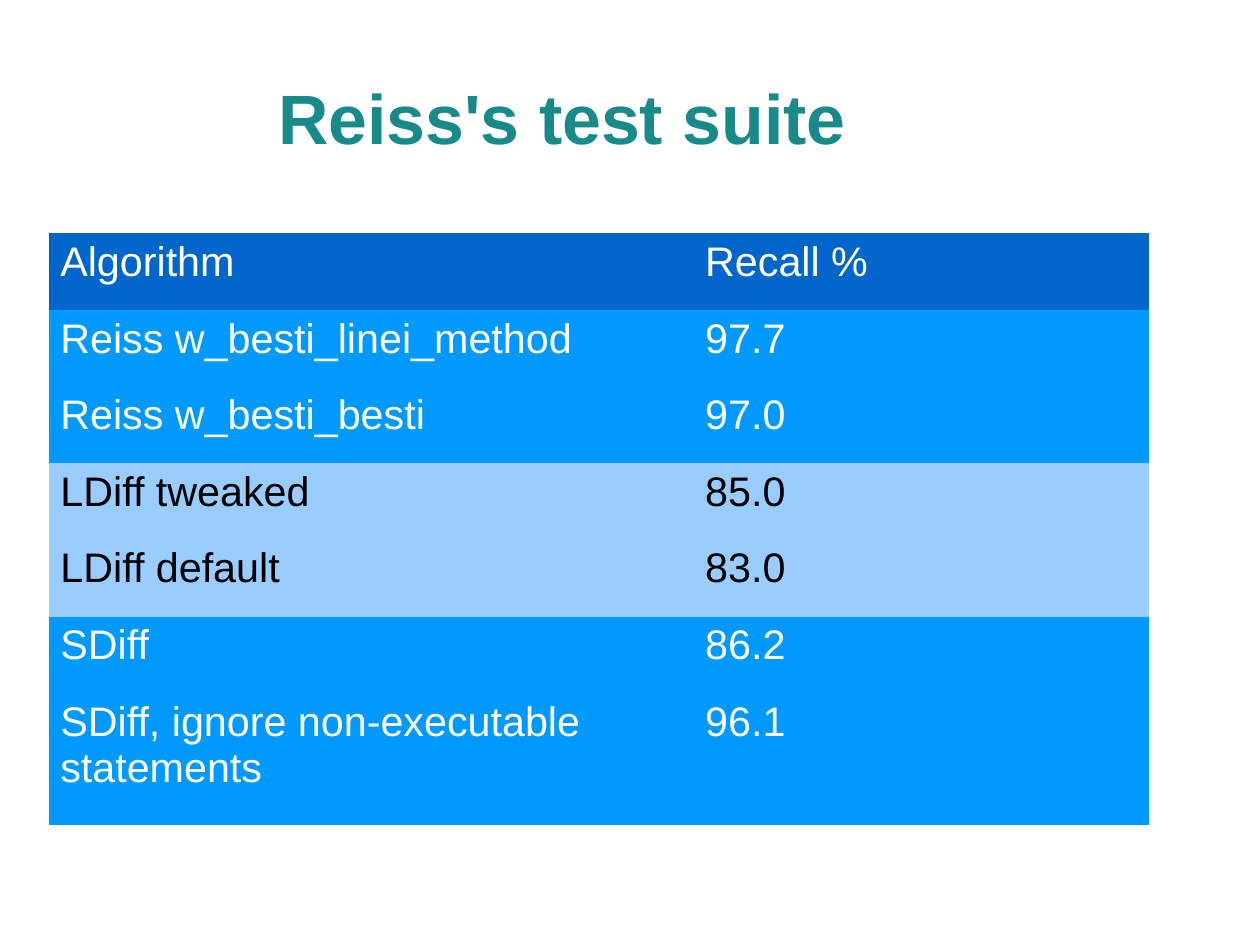
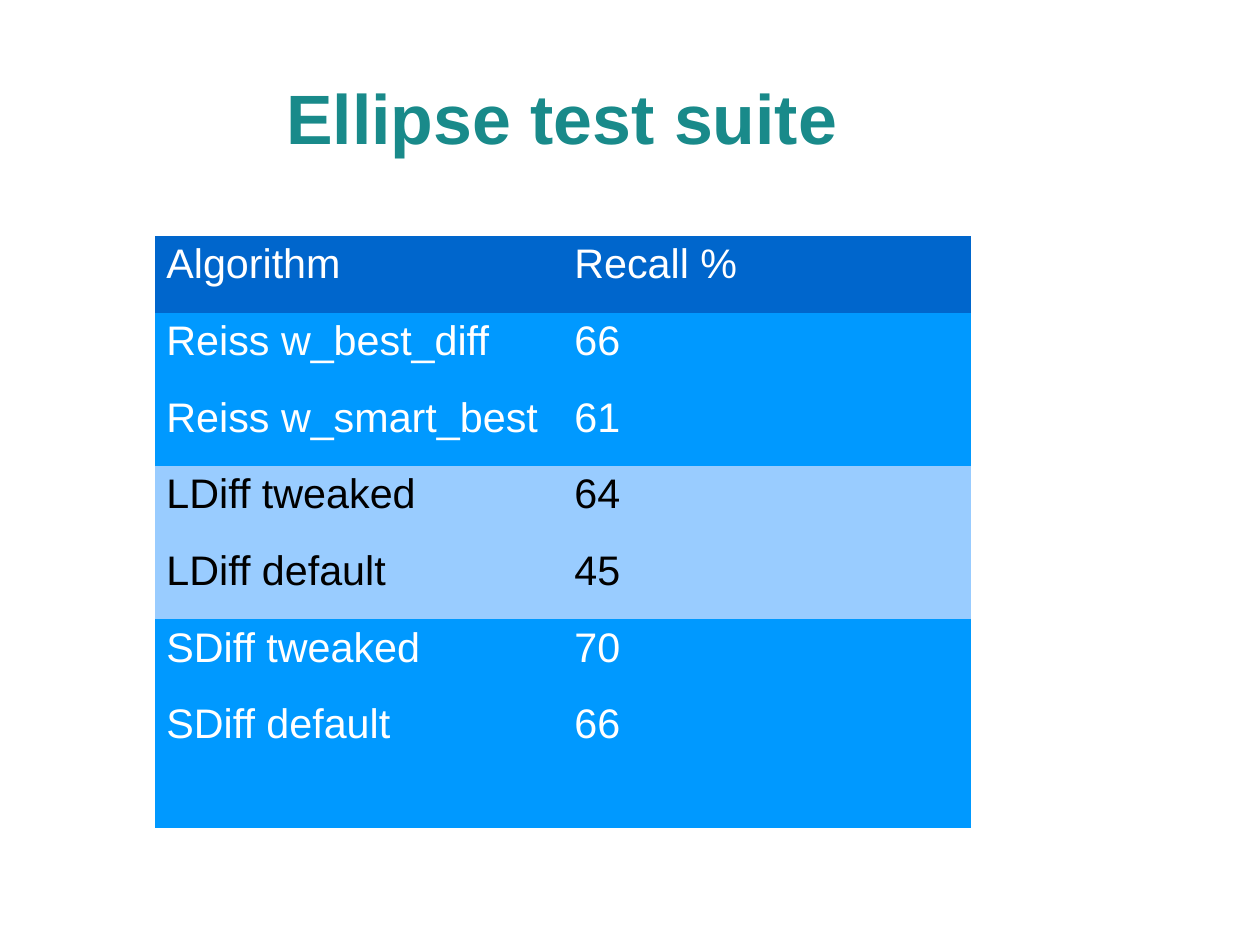
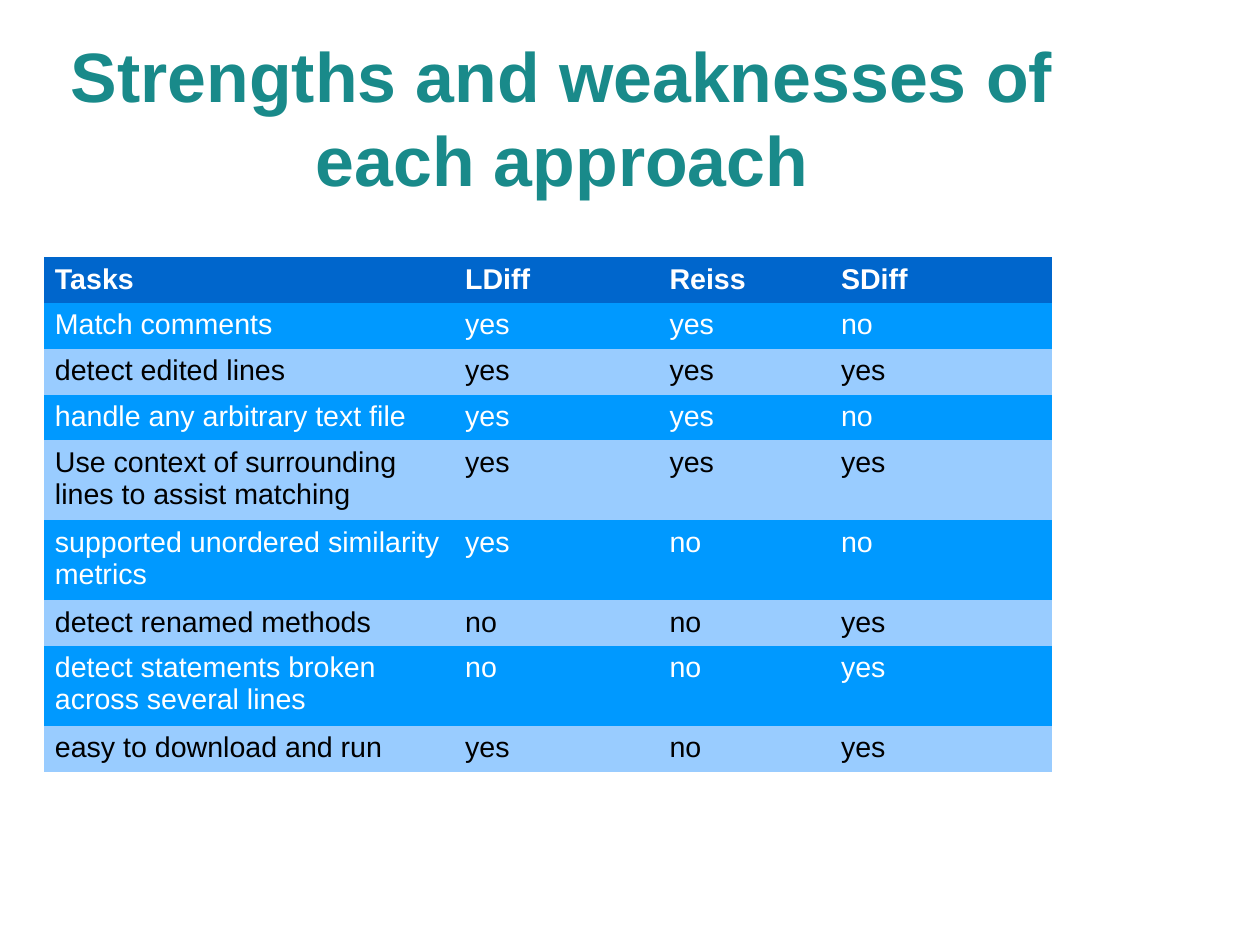
from pptx import Presentation
from pptx import oxml
from pptx.dml import color
from pptx.enum import text
from pptx.oxml import ns
from pptx.util import Pt

FONT = "Arial"
TEAL = "198A8A"
WHITE = "FFFFFF"
BLACK = "000000"
HEADER = ("0066CC", WHITE)
STRONG = ("0099FF", WHITE)
PALE = ("99CCFF", BLACK)

TITLE_BOX = (28, 24, 652.4, 99)
TALL_TITLE_BOX = (28, 13.5, 652.4, 120)
SUITE_STYLES = [HEADER] + [STRONG] * 2 + [PALE] * 2 + [STRONG] * 2
SUITE_HEIGHTS = [48.3] * 6 + [83.3]
TASK_STYLES = [HEADER] + [STRONG, PALE] * 4
ONE_LINE, TWO_LINES = 28.8, 50.4
TASK_HEIGHTS = [ONE_LINE] * 4 + [TWO_LINES] * 2 + [ONE_LINE, TWO_LINES, ONE_LINE]

REISS_ROWS = [
    ("Algorithm", "Recall %"),
    ("Reiss w_besti_linei_method", "97.7"),
    ("Reiss w_besti_besti", "97.0"),
    ("LDiff tweaked", "85.0"),
    ("LDiff default", "83.0"),
    ("SDiff", "86.2"),
    ("SDiff, ignore non-executable statements", "96.1"),
]
ELLIPSE_ROWS = [
    ("Algorithm", "Recall %"),
    ("Reiss w_best_diff", "66"),
    ("Reiss w_smart_best", "61"),
    ("LDiff tweaked", "64"),
    ("LDiff default", "45"),
    ("SDiff tweaked", "70"),
    ("SDiff default", "66"),
]
TASK_ROWS = [
    ("Tasks", "LDiff", "Reiss", "SDiff"),
    ("Match comments", "yes", "yes", "no"),
    ("detect edited lines", "yes", "yes", "yes"),
    ("handle any arbitrary text file", "yes", "yes", "no"),
    ("Use context of surrounding lines to assist matching", "yes", "yes", "yes"),
    ("supported unordered similarity metrics", "yes", "no", "no"),
    ("detect renamed methods", "no", "no", "yes"),
    ("detect statements broken across several lines", "no", "no", "yes"),
    ("easy to download and run", "yes", "no", "yes"),
]


def paint(target, hex_color):
    target.rgb = color.RGBColor.from_string(hex_color)


def add_span(para, words, size, hex_color, bold=False):
    span = para.add_run()
    span.text = words
    span.font.name = FONT
    span.font.size = Pt(size)
    span.font.bold = bold
    paint(span.font.color, hex_color)


def clear_borders(cell):
    properties = cell._tc.get_or_add_tcPr()
    for position, side in enumerate("LRTB"):
        border = oxml.parse_xml(
            f'<a:ln{side} {ns.nsdecls("a")} w="0"><a:noFill/></a:ln{side}>'
        )
        properties.insert(position, border)


def place_title(page, box, words):
    title = page.shapes.title
    title.left, title.top, title.width, title.height = map(Pt, box)
    frame = title.text_frame
    frame.margin_left = frame.margin_right = 0
    frame.margin_top = frame.margin_bottom = 0
    frame.word_wrap = True
    frame.auto_size = text.MSO_AUTO_SIZE.NONE
    frame.vertical_anchor = text.MSO_ANCHOR.MIDDLE
    para = frame.paragraphs[0]
    para.alignment = text.PP_ALIGN.CENTER
    add_span(para, words, 44, TEAL, bold=True)


def place_table(page, corner, widths, heights, rows, styles, size, bold_header=False):
    left, top = corner
    table = page.shapes.add_table(
        len(rows), len(widths), Pt(left), Pt(top), Pt(sum(widths)), Pt(sum(heights))
    ).table
    table.first_row = table.horz_banding = False
    for column, width in zip(table.columns, widths):
        column.width = Pt(width)
    for index, (row, height, words, style) in enumerate(
        zip(table.rows, heights, rows, styles)
    ):
        row.height = Pt(height)
        fill_color, text_color = style
        for cell, word in zip(row.cells, words):
            cell.fill.solid()
            paint(cell.fill.fore_color, fill_color)
            clear_borders(cell)
            cell.margin_left = cell.margin_right = Pt(7.2)
            cell.margin_top = cell.margin_bottom = Pt(3.6)
            para = cell.text_frame.paragraphs[0]
            add_span(para, word, size, text_color, bold_header and index == 0)


def add_page(deck):
    return deck.slides.add_slide(deck.slide_layouts.get_by_name("Title Only"))


def add_suite_page(deck, title, corner, widths, rows):
    page = add_page(deck)
    place_title(page, TITLE_BOX, title)
    place_table(page, corner, widths, SUITE_HEIGHTS, rows, SUITE_STYLES, 26)


def add_task_page(deck, title, corner, widths, rows):
    page = add_page(deck)
    place_title(page, TALL_TITLE_BOX, title)
    place_table(page, corner, widths, TASK_HEIGHTS, rows, TASK_STYLES, 18, True)


def main():
    deck = Presentation()
    deck.slide_width = Pt(793.7)
    deck.slide_height = Pt(595.28)
    add_suite_page(deck, "Reiss's test suite", (30.8, 147), (406.2, 286.6), REISS_ROWS)
    add_suite_page(deck, "Ellipse test suite", (97.6, 148.6), (257, 257), ELLIPSE_ROWS)
    add_task_page(
        deck,
        "Strengths and weaknesses of each approach",
        (27.4, 162.2),
        (258.4, 128.8, 108, 140.2),
        TASK_ROWS,
    )
    deck.save("out.pptx")


if __name__ == "__main__":
    main()
